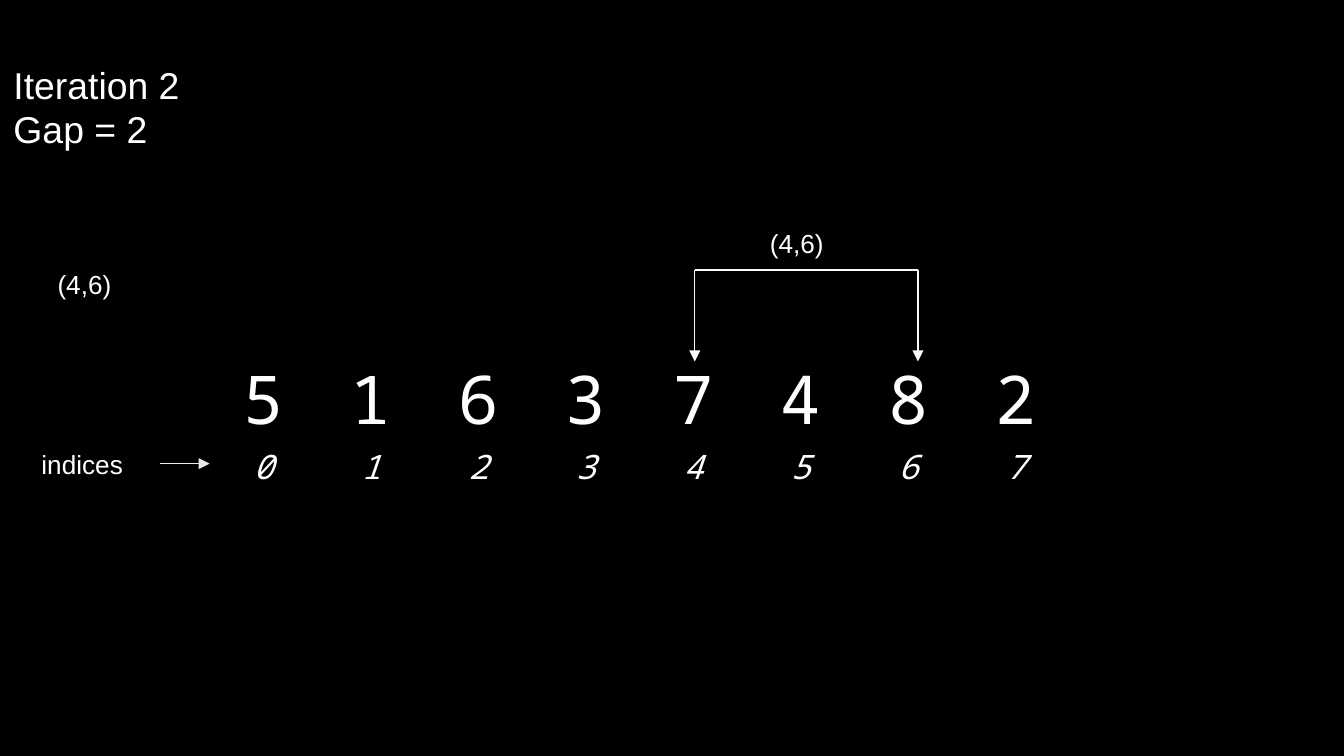
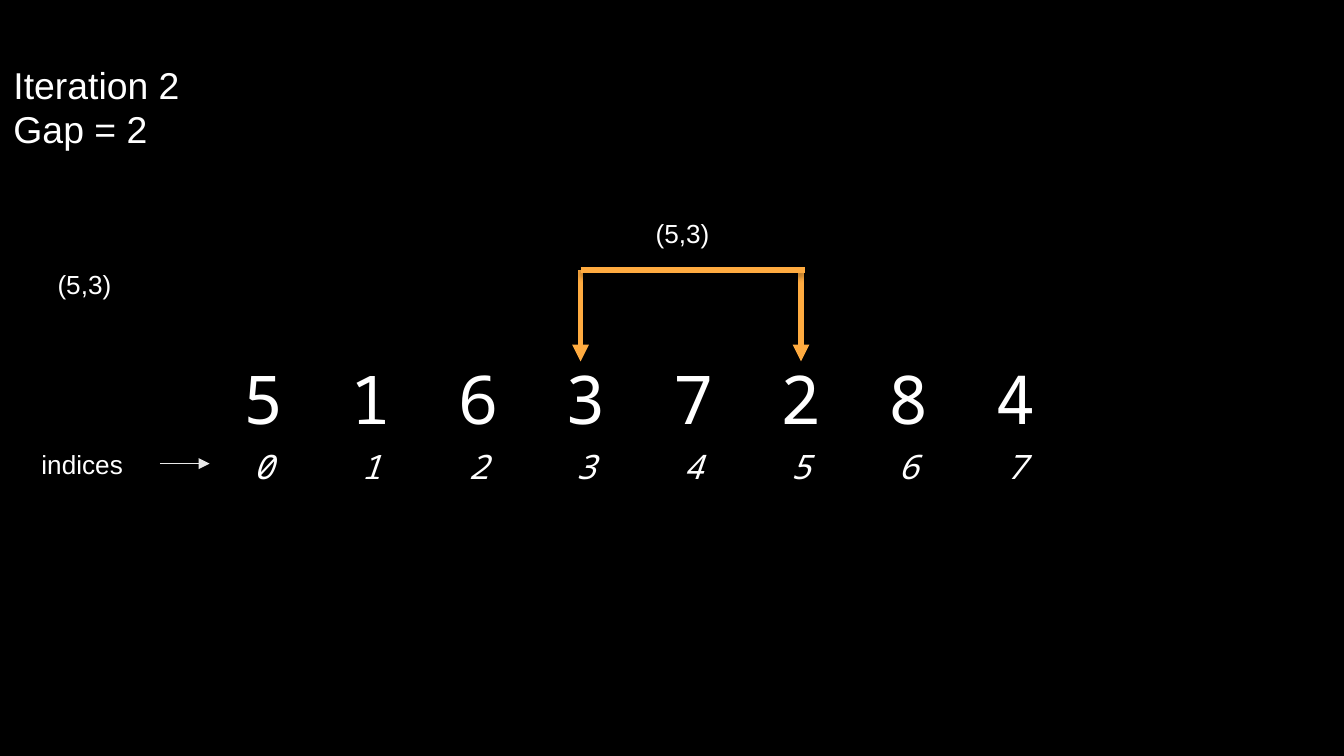
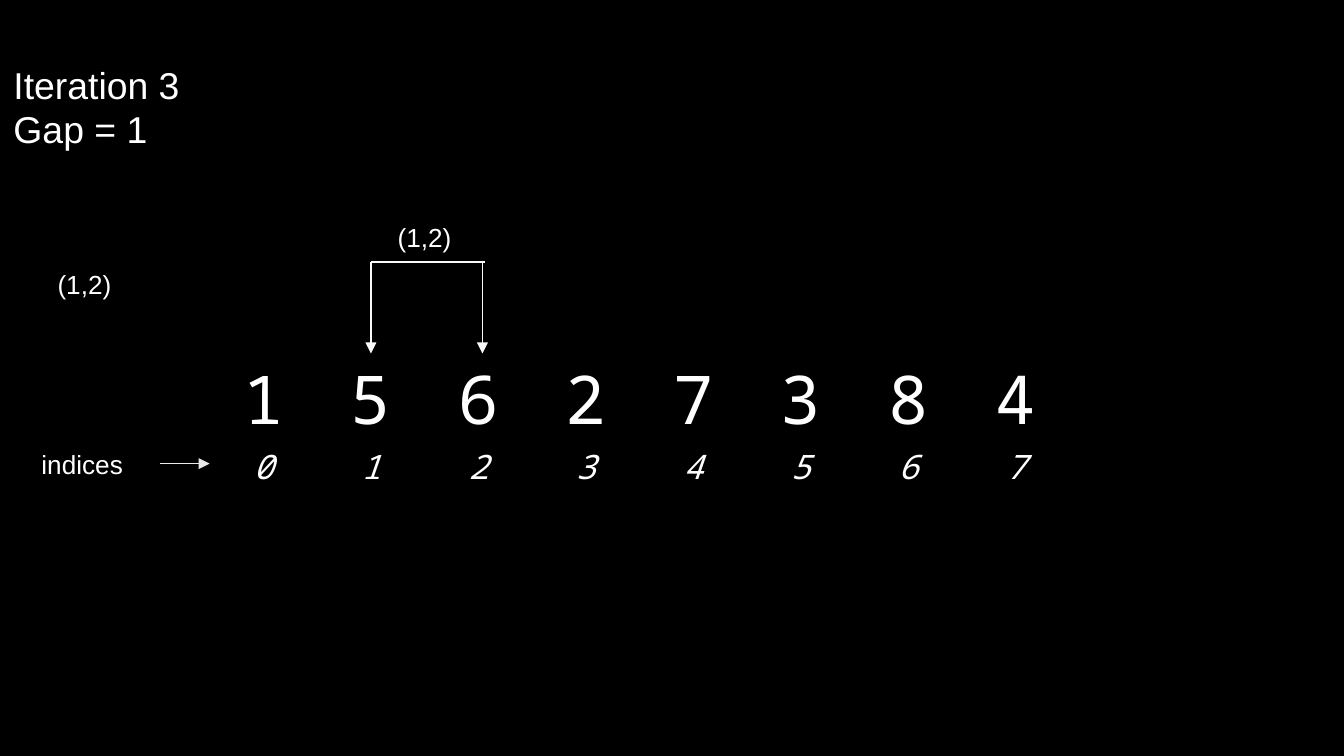
from pptx import Presentation
from pptx import util as u
from pptx.dml.color import RGBColor
from pptx.enum import shapes, text
from pptx.oxml import ns
from lxml import etree

BLACK = RGBColor(0, 0, 0)
WHITE = RGBColor(255, 255, 255)
PALE = RGBColor(0xE9, 0xE9, 0xE9)
LIGHT = RGBColor(0xF9, 0xF9, 0xF9)
AMBER = RGBColor(0xFF, 0xAB, 0x40)

WIDE = u.Inches(10)
TITLE = {"size": u.Pt(20), "name": "Arial", "bold": False}
LABEL = {"size": u.Pt(14), "name": "Arial", "bold": False}
VALUE = {"size": u.Pt(36), "name": "Noto Sans Mono", "bold": False}
INDEX = {"size": u.Pt(18), "name": "Noto Sans Mono", "bold": False, "italic": True}
FRAME = {
    "word_wrap": True,
    "auto_size": text.MSO_AUTO_SIZE.NONE,
    "vertical_anchor": text.MSO_ANCHOR.TOP,
    "margin_left": u.Inches(0.1),
    "margin_right": u.Inches(0.1),
    "margin_top": u.Inches(0.05),
    "margin_bottom": u.Inches(0.05),
}
CELL = {
    "vertical_anchor": text.MSO_ANCHOR.MIDDLE,
    **{"margin_" + side: u.Inches(0.1) for side in ("left", "right", "top", "bottom")},
}
THIN = {"color": LIGHT, "width": 0.75, "shade": False}
BOLD = {"color": AMBER, "width": 3, "shade": True}
GRID = (1.56, 2.52, 0.8)

STEPS = [
    {"title": ["Iteration 2", "Gap = 2"], "pair": "(4,6)", "row": "51637482", "pen": THIN,
     "box": (5.17, 2.01, 1.66, 0.68), "lap": 0, "tag": (0.46, -0.37)},
    {"title": ["Iteration 2", "Gap = 2"], "pair": "(5,3)", "row": "51637284", "pen": BOLD,
     "box": (4.32, 2.01, 1.64, 0.68), "lap": 0.03, "tag": (0.46, -0.44)},
    {"title": ["Iteration 3", "Gap = 1"], "pair": "(1,2)", "row": "15627384", "pen": THIN,
     "box": (2.76, 1.95, 0.83, 0.68), "lap": 0.02, "tag": (0.1, -0.35)},
]


def apply(obj, form):
    for key, val in form.items():
        setattr(obj, key, val)


def write(para, words, form):
    run = para.add_run()
    run.text = words
    apply(run.font, form)
    run.font.color.rgb = WHITE


def add(parent, tag, **attrs):
    return etree.SubElement(parent, ns.qn(tag), attrs)


def title(slide, lines):
    shape = slide.shapes.title
    apply(shape, {"left": 0, "top": u.Inches(0.41),
                  "width": u.Inches(2.01), "height": u.Inches(1.11)})
    frame = shape.text_frame
    apply(frame, FRAME)
    for num, words in enumerate(lines):
        para = frame.add_paragraph() if num else frame.paragraphs[0]
        apply(para, {"alignment": text.PP_ALIGN.LEFT, "line_spacing": 1.0})
        write(para, words, TITLE)


def label(slide, left, top, width, words):
    box = slide.shapes.add_textbox(*map(u.Inches, (left, top, width, 0.34)))
    apply(box.text_frame, FRAME)
    write(box.text_frame.paragraphs[0], words, LABEL)


def line(slide, start, end, pen, head=True):
    link = slide.shapes.add_connector(
        shapes.MSO_CONNECTOR.STRAIGHT, *map(u.Inches, (*start, *end)))
    link.line.color.rgb = pen["color"]
    link.line.width = u.Pt(pen["width"])
    if head:
        add(link.line._get_or_add_ln(), "a:tailEnd", type="triangle")
    effects = add(link._element.spPr, "a:effectLst")
    if pen["shade"]:
        shade = add(effects, "a:outerShdw", blurRad="40000", dist="23000",
                    dir="5400000", rotWithShape="0")
        add(add(shade, "a:srgbClr", val=str(BLACK)), "a:alpha", val="35000")


def strip(slide, left, top, pitch, height, items, form):
    table = slide.shapes.add_table(
        1, len(items), *map(u.Inches, (left, top, pitch * len(items), height))).table
    apply(table, {"first_row": False, "horz_banding": False})
    for cell, item in zip(table.rows[0].cells, items):
        apply(cell, CELL)
        props = cell._tc.get_or_add_tcPr()
        for side in ("a:lnL", "a:lnR", "a:lnT", "a:lnB"):
            add(add(props, side), "a:noFill")
        cell.fill.background()
        para = cell.text_frame.paragraphs[0]
        para.alignment = text.PP_ALIGN.CENTER
        write(para, item, form)


def array(slide, box, row):
    left, top, pitch = box
    strip(slide, left, top, pitch, 0.8, row, VALUE)
    strip(slide, left, top + 0.68, pitch, 0.41, [str(n) for n in range(len(row))], INDEX)
    label(slide, left - 1.35, top + 0.77, 0.98, "indices")
    line(slide, (left - 0.37, top + 0.93), (left, top + 0.93), {**THIN, "color": PALE})


def bracket(slide, box, step):
    left, top, width, drop = box
    pen = step["pen"]
    for x in (left, left + width):
        line(slide, (x, top), (x, top + drop), pen)
    line(slide, (left, top), (left + width + step["lap"], top), pen, head=False)
    right, down = step["tag"]
    label(slide, left + right, top + down, 0.75, step["pair"])


def build(deck, step):
    slide = deck.slides.add_slide(deck.slide_layouts[5])
    title(slide, step["title"])
    array(slide, GRID, step["row"])
    label(slide, 0.33, 1.95, 0.75, step["pair"])
    bracket(slide, step["box"], step)


def main():
    deck = Presentation()
    apply(deck, {"slide_width": WIDE, "slide_height": WIDE * 9 // 16})
    fill = deck.slide_master.background.fill
    fill.solid()
    fill.fore_color.rgb = BLACK
    for step in STEPS:
        build(deck, step)
    deck.save("out.pptx")


if __name__ == "__main__":
    main()
